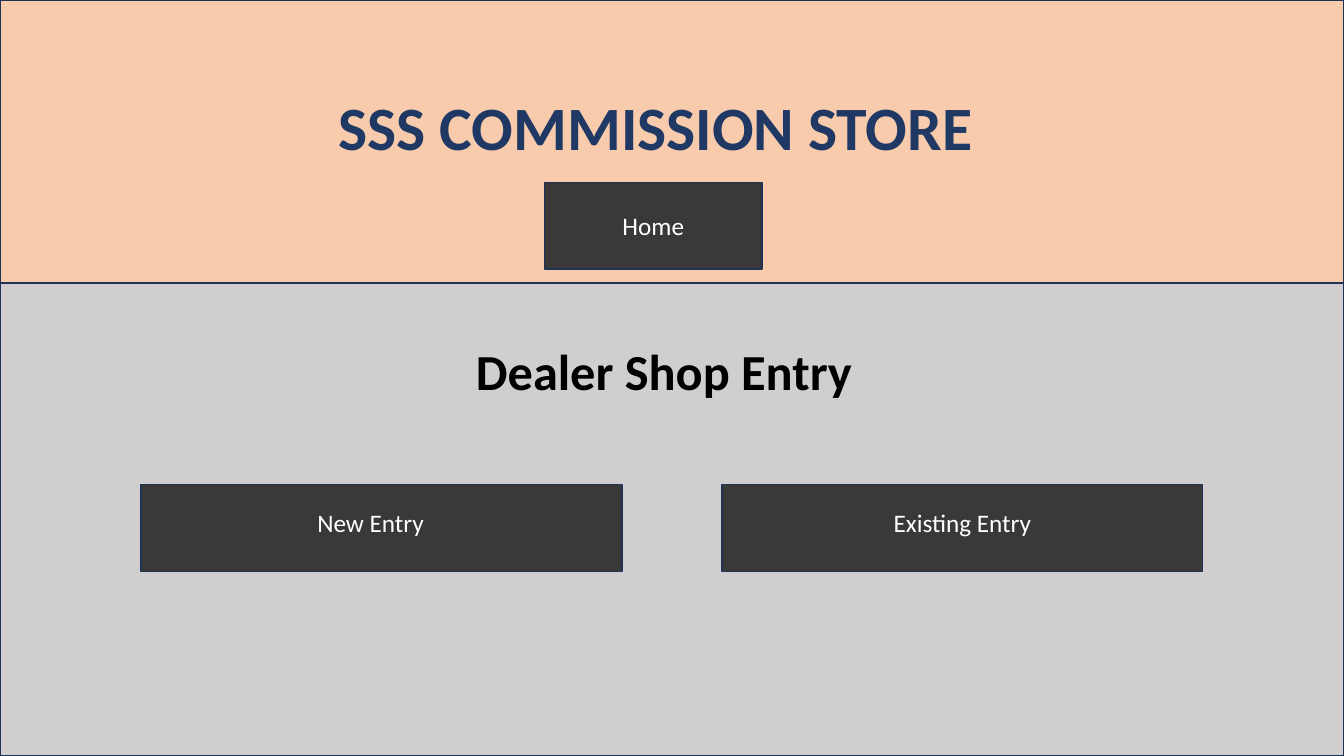
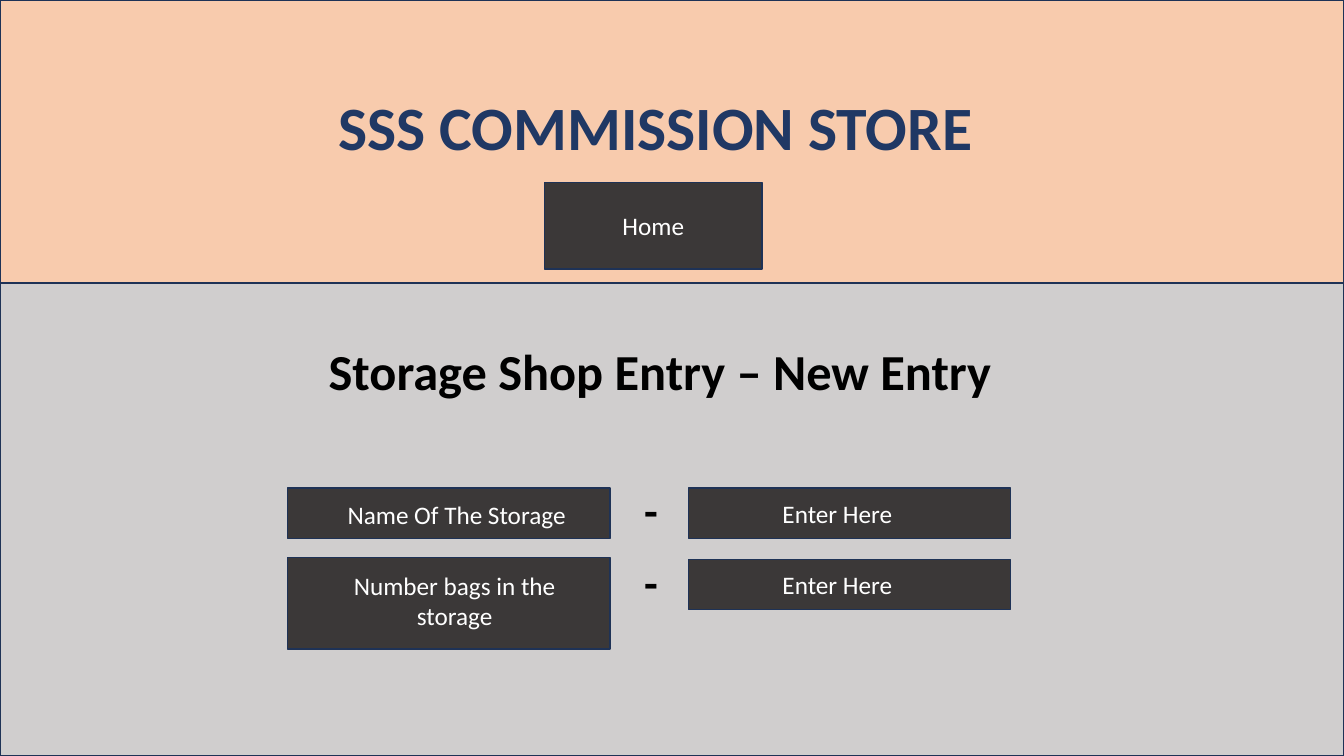
from dataclasses import dataclass

import pptx
import pptx.dml.color
import pptx.enum.shapes
import pptx.enum.text
import pptx.util

Inches = pptx.util.Inches
Align = pptx.enum.text.PP_ALIGN
Anchor = pptx.enum.text.MSO_ANCHOR


@dataclass(frozen=True)
class Theme:
    font: str = "Calibri"
    header: str = "F8CBAD"
    body: str = "D0CECE"
    button: str = "3B3838"
    outline: str = "1E3256"
    store: str = "203864"
    heading: str = "000000"
    label: str = "FFFFFF"
    store_size: int = 44
    heading_size: int = 36
    dash_size: int = 32
    label_size: int = 18
    line_width: int = 1


THEME = Theme()
PAGE_WIDTH, PAGE_HEIGHT = 13.33, 7.5
HEADER_HEIGHT = 2.81
LABEL_PADDING = 0.3
TITLE_ONLY = 5


def rgb(code):
    return pptx.dml.color.RGBColor.from_string(code)


def place(shape, box):
    shape.left, shape.top, shape.width, shape.height = map(Inches, box)


def write(shape, text, size, color, bold=False, align=Align.LEFT, anchor=Anchor.TOP):
    frame = shape.text_frame
    frame.text = text
    frame.word_wrap = True
    frame.auto_size = pptx.enum.text.MSO_AUTO_SIZE.NONE
    frame.vertical_anchor = anchor
    para = frame.paragraphs[0]
    para.alignment = align
    para.line_spacing = 1.0
    para.font.name = THEME.font
    para.font.size = pptx.util.Pt(size)
    para.font.bold = bold
    para.font.color.rgb = rgb(color)


def add_panel(page, box, fill):
    panel = page.shapes.add_shape(
        pptx.enum.shapes.MSO_SHAPE.RECTANGLE, *map(Inches, box))
    panel.shadow.inherit = False
    panel.fill.solid()
    panel.fill.fore_color.rgb = rgb(fill)
    panel.line.color.rgb = rgb(THEME.outline)
    panel.line.width = pptx.util.Pt(THEME.line_width)
    return panel


def add_text(page, box, text, size, color):
    text_box = page.shapes.add_textbox(*map(Inches, box))
    write(text_box, text, size, color, bold=True)


def add_button(page, box, label, shift_x=0, shift_y=0):
    """Draw a button whose label sits off its centre by the given shifts."""
    button = add_panel(page, box, THEME.button)
    write(button, label, THEME.label_size, THEME.label,
          align=Align.CENTER, anchor=Anchor.MIDDLE)
    frame = button.text_frame
    frame.margin_left = Inches(LABEL_PADDING + shift_x)
    frame.margin_right = Inches(LABEL_PADDING - shift_x)
    frame.margin_top = Inches(max(0, 2 * shift_y))
    frame.margin_bottom = Inches(max(0, -2 * shift_y))


def add_page(deck, heading, left, width):
    """Add a page with the shared store header and its own heading."""
    page = deck.slides.add_slide(deck.slide_layouts[TITLE_ONLY])
    add_panel(page, (0, 0, PAGE_WIDTH, HEADER_HEIGHT), THEME.header)
    add_panel(page, (0, HEADER_HEIGHT, PAGE_WIDTH, PAGE_HEIGHT - HEADER_HEIGHT),
              THEME.body)
    add_text(page, (3.26, 0.83, 6.82, 0.84), "SSS COMMISSION STORE",
             THEME.store_size, THEME.store)
    add_button(page, (5.4, 1.81, 2.16, 0.86), "Home")

    title = page.shapes.title
    place(title, (left, 3.32, width, 0.71))
    write(title, heading, THEME.heading_size, THEME.heading, bold=True)
    title.element.getparent().append(title.element)  # above the panels
    return page


def add_field(page, top, label, label_height, label_shift, entry_top):
    """Add one form row: a label, a dash and an entry button."""
    add_button(page, (2.85, top, 3.2, label_height), label, *label_shift)
    add_text(page, (6.29, entry_top - 0.1, 0.31, 0.64), "-",
             THEME.dash_size, THEME.heading)
    add_button(page, (6.83, entry_top, 3.19, 0.5), "Enter Here", -0.12)


def build_dealer_page(deck):
    page = add_page(deck, "Dealer Shop Entry", 4.62, 6.18)
    for left, label, shift_x in ((1.4, "New Entry", -0.11),
                                 (7.16, "Existing Entry", 0)):
        add_button(page, (left, 4.81, 4.77, 0.86), label, shift_x, -0.06)


def build_storage_page(deck):
    page = add_page(deck, "Storage Shop Entry – New Entry", 3.16, 7.78)
    add_field(page, 4.84, "Name Of The Storage", 0.5, (0.08, 0.01), 4.84)
    add_field(page, 5.53, "Number bags in the storage", 0.91, (0.06, -0.03), 5.55)


def main():
    deck = pptx.Presentation()
    deck.slide_width = Inches(PAGE_WIDTH)
    deck.slide_height = Inches(PAGE_HEIGHT)
    build_dealer_page(deck)
    build_storage_page(deck)
    deck.save("out.pptx")


if __name__ == "__main__":
    main()
